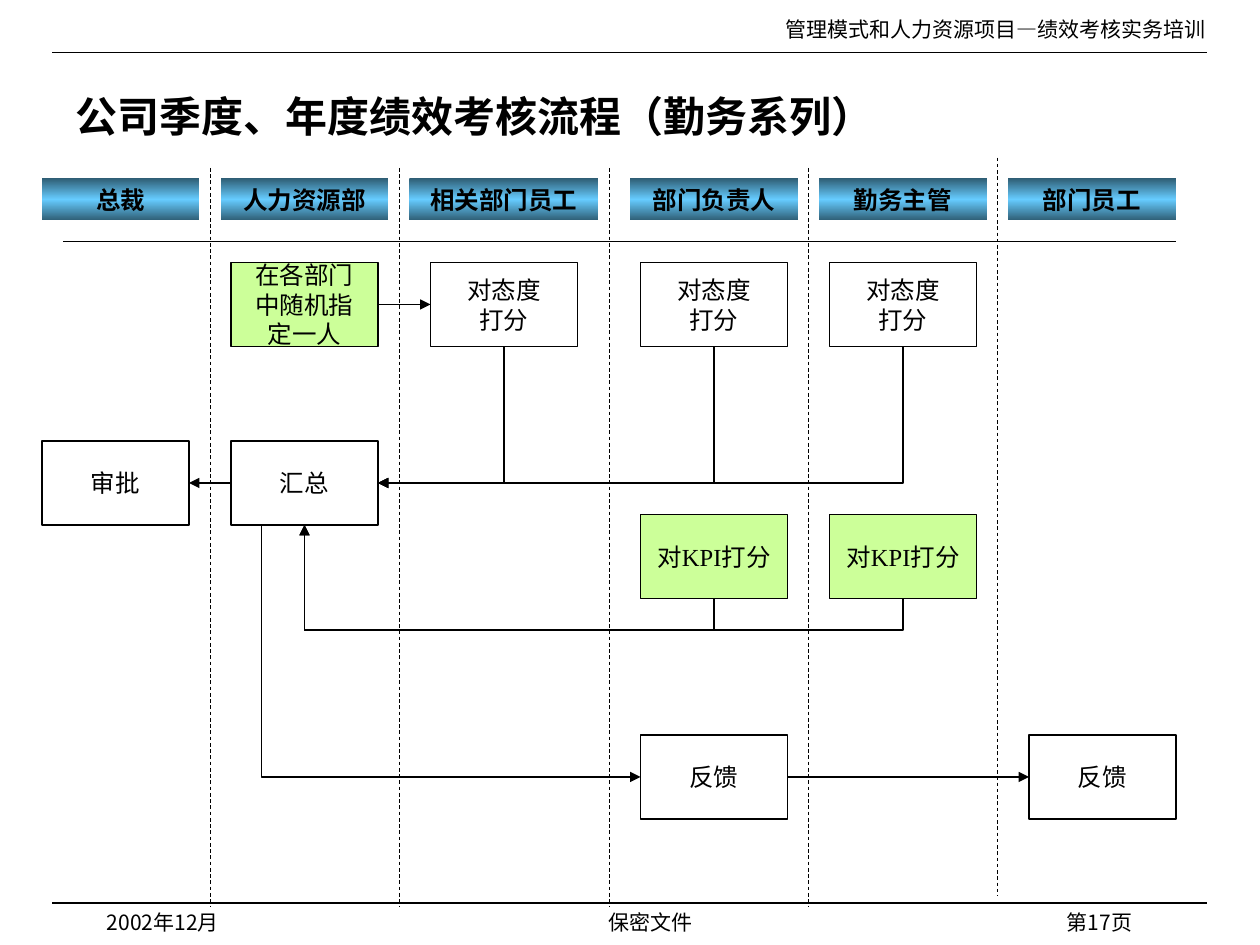
from copy import deepcopy

from lxml import etree
from pptx import Presentation
from pptx import util as u
from pptx.dml import color as dml_color
from pptx.enum import dml, shapes, text
from pptx.oxml import ns

COLORS = {"ink": "000000", "lime": "CCFF99", "sky": "66CCFF", "deep": "2F5E75"}
TOP, LEFT, BOTTOM, RIGHT = range(4)
BOX_WIDTH, BOX_HEIGHT = 14, 8
LANES = [("总裁", 4, 15), ("人力资源部", 21, 16), ("相关部门员工", 39, 18),
         ("部门负责人", 60, 16), ("勤务主管", 78, 16), ("部门员工", 96, 16)]
DIVIDERS = [(20, 16), (38, 16), (58, 16), (77, 16), (95, 15)]
BOX_COLUMNS = {"president": 4, "hr": 22, "peer": 41, "manager": 61,
               "supervisor": 79, "staff": 98}
BOX_ROWS = {"attitude": 25, "summary": 42, "kpi": 49, "feedback": 70}


def grid(cells):
    """Length of a number of grid cells, twelve to the inch."""
    return u.Inches(cells / 12)


def rgb(name):
    return dml_color.RGBColor.from_string(COLORS[name])


class FlowSlide:
    """Style and current slide of the process chart."""
    latin, asian = "Times New Roman", "Noto Sans CJK SC"
    line_width = 0.75

    def __init__(self, presentation):
        self.slide = presentation.slides.add_slide(presentation.slide_layouts[5])

    def set_text(self, shape, content, size, align, font, bold=False,
                 anchor=text.MSO_ANCHOR.MIDDLE):
        frame = shape.text_frame
        frame.text = content
        frame.word_wrap = True
        frame.auto_size = text.MSO_AUTO_SIZE.NONE
        frame.vertical_anchor = anchor
        for paragraph in frame.paragraphs:
            paragraph.alignment = align
            for run in paragraph.runs:
                run.font.size, run.font.bold = u.Pt(size), bold
                run.font.color.rgb = rgb("ink")
                run.font.name = font
                etree.SubElement(run.font._element, ns.qn("a:ea"), typeface=self.asian)

    def title(self, content, *place):
        shape = self.slide.shapes.title
        shape.left, shape.top, shape.width, shape.height = map(grid, place)
        self.set_text(shape, content, 24, text.PP_ALIGN.LEFT, self.latin, bold=True)

    def label(self, content, align, font, *place):
        shape = self.slide.shapes.add_textbox(*map(grid, place))
        self.set_text(shape, content, 12, align, font, anchor=text.MSO_ANCHOR.TOP)

    def rectangle(self, content, font, bold, *place):
        shape = self.slide.shapes.add_shape(shapes.MSO_SHAPE.RECTANGLE, *map(grid, place))
        shape.shadow.inherit = False
        self.set_text(shape, content, 14, text.PP_ALIGN.CENTER, font, bold)
        return shape

    def lane_header(self, content, left, width):
        shape = self.rectangle(content, self.asian, True, left, 17, width, 4)
        shape.line.fill.background()
        shape.fill.gradient()
        shape.fill.gradient_angle = 90
        stop_list = shape._element.spPr.find(".//" + ns.qn("a:gsLst"))
        stop_list.insert(1, deepcopy(stop_list[0]))
        for stop, position, name in zip(shape.fill.gradient_stops, (0, 0.5, 1),
                                        ("deep", "sky", "deep")):
            stop.position, stop.color.rgb = position, rgb(name)

    def box(self, content, column, row, fill=None):
        shape = self.rectangle(content, self.latin, False, BOX_COLUMNS[column],
                               BOX_ROWS[row], BOX_WIDTH, BOX_HEIGHT)
        if fill:
            shape.fill.solid()
            shape.fill.fore_color.rgb = rgb(fill)
        else:
            shape.fill.background()
        shape.line.color.rgb, shape.line.width = rgb("ink"), u.Pt(self.line_width)
        return shape

    def line(self, x1, y1, x2, y2, dashed=False, arrow=False,
             kind=shapes.MSO_CONNECTOR.STRAIGHT):
        connector = self.slide.shapes.add_connector(kind, *map(grid, (x1, y1, x2, y2)))
        connector.line.color.rgb = rgb("ink")
        connector.line.width = u.Pt(0.5 if dashed else self.line_width)
        if dashed:
            connector.line.dash_style = dml.MSO_LINE.DASH
        if arrow:
            etree.SubElement(connector.get_or_add_ln(), ns.qn("a:tailEnd"), type="triangle")
        etree.SubElement(connector._element.spPr, ns.qn("a:effectLst"))
        return connector

    def arrow(self, source, source_side, target, target_side,
              kind=shapes.MSO_CONNECTOR.STRAIGHT):
        connector = self.line(0, 0, 1, 1, arrow=True, kind=kind)
        connector.begin_connect(source, source_side)
        connector.end_connect(target, target_side)
        return connector

    def bend(self, connector, preset, adjust=None):
        """Set the elbow's preset and the place of its middle leg."""
        geometry = connector._element.spPr.find(ns.qn("a:prstGeom"))
        geometry.set("prst", preset)
        if adjust is not None:
            guides = geometry.find(ns.qn("a:avLst"))
            etree.SubElement(guides, ns.qn("a:gd"), name="adj1", fmla=f"val {adjust}")

    def elbow_down(self, source, target, target_side, preset, rotation,
                   flip=False, adjust=None):
        """Arrow that leaves the source downwards, as a turned elbow."""
        connector = self.arrow(source, BOTTOM, target, target_side,
                               shapes.MSO_CONNECTOR.ELBOW)
        left, top = connector.left, connector.top
        width, height = connector.width, connector.height
        connector.left = left + (width - height) // 2
        connector.top = top + (height - width) // 2
        connector.width, connector.height = height, width
        frame = connector._element.spPr.find(ns.qn("a:xfrm"))
        frame.set("rot", str(rotation * 60000))
        frame.set("flipH", "0")
        frame.set("flipV", str(int(flip)))
        self.bend(connector, preset, adjust)


def main():
    presentation = Presentation()
    presentation.slide_width, presentation.slide_height = grid(120), grid(90)
    flow = FlowSlide(presentation)
    align = text.PP_ALIGN

    for y in (5, 86):
        flow.line(5, y, 115, y)
    flow.label("管理模式和人力资源项目—绩效考核实务培训", align.RIGHT, flow.latin, 60, 1, 56, 3.6)
    flow.label("2002年12月", align.LEFT, flow.asian, 9, 86, 25, 3)
    flow.label("保密文件", align.CENTER, flow.asian, 35, 86, 54, 3)
    flow.label("第17页", align.RIGHT, flow.asian, 84, 86, 25, 2)
    flow.title("公司季度、年度绩效考核流程（勤务系列）", 6, 7, 107, 8)

    flow.line(6, 23, 112, 23)
    for lane in LANES:
        flow.lane_header(*lane)
    for x, top in DIVIDERS:
        flow.line(x, top, x, top + 70.3, dashed=True)

    pick = flow.box("在各部门中随机指定一人", "hr", "attitude", "lime")
    attitude = [flow.box("对态度\n打分", column, "attitude")
                for column in ("peer", "manager", "supervisor")]
    approval = flow.box("审批", "president", "summary")
    summary = flow.box("汇总", "hr", "summary")
    kpi = [flow.box("对KPI打分", column, "kpi", "lime")
           for column in ("manager", "supervisor")]
    manager_feedback, staff_feedback = [flow.box("反馈", column, "feedback")
                                        for column in ("manager", "staff")]

    flow.arrow(pick, RIGHT, attitude[0], LEFT)
    flow.arrow(summary, LEFT, approval, RIGHT)
    flow.arrow(manager_feedback, RIGHT, staff_feedback, LEFT)
    for score in attitude:
        flow.elbow_down(score, summary, RIGHT, "bentConnector2", 90)
    for score in kpi:
        flow.elbow_down(score, summary, BOTTOM, "bentConnector3", 270, True, -42857)
    feedback_line = flow.line(24.9, 50, 61, 74, arrow=True,
                              kind=shapes.MSO_CONNECTOR.ELBOW)
    feedback_line.end_connect(manager_feedback, LEFT)
    flow.bend(feedback_line, "bentConnector3", 0)

    presentation.save("out.pptx")


if __name__ == "__main__":
    main()
